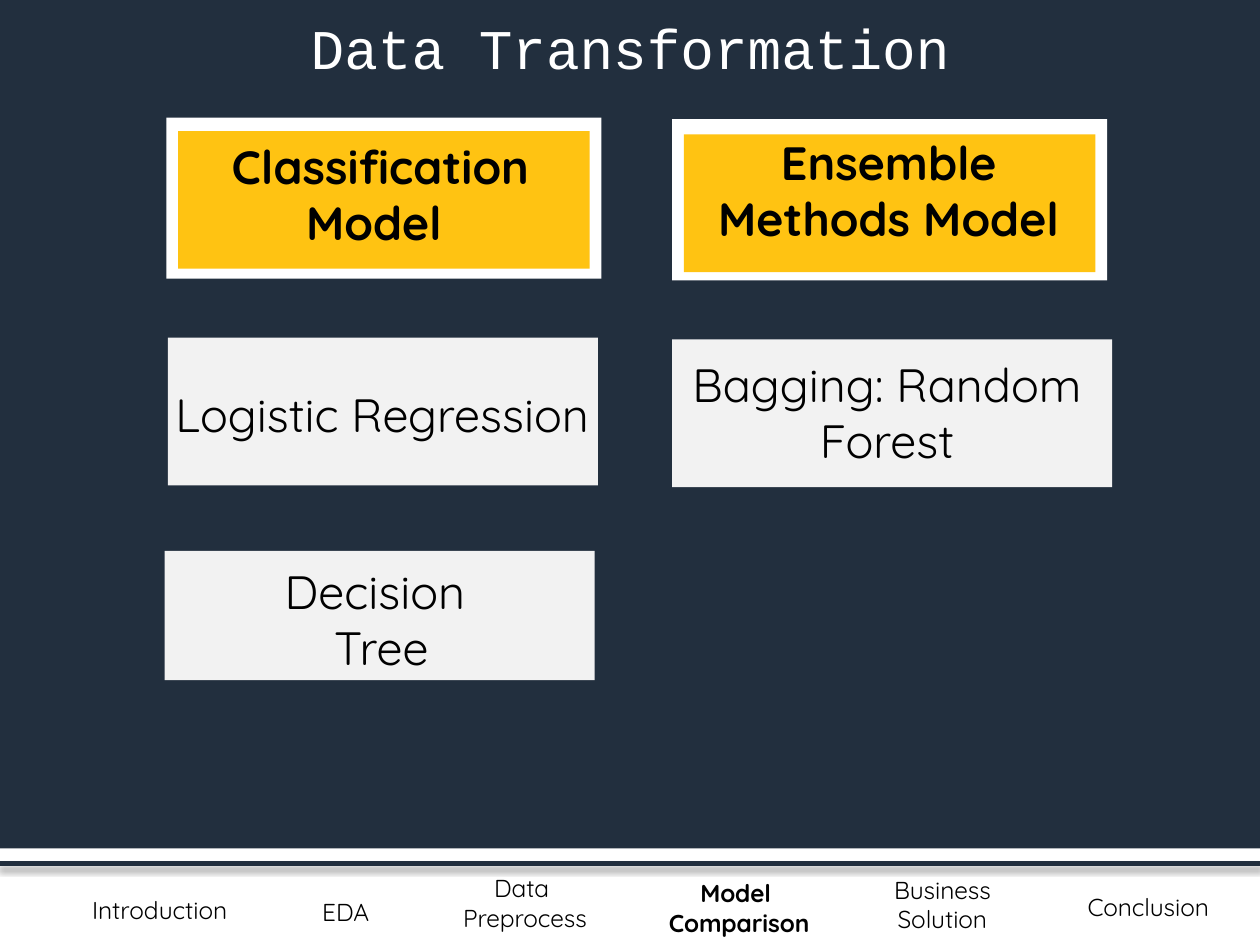
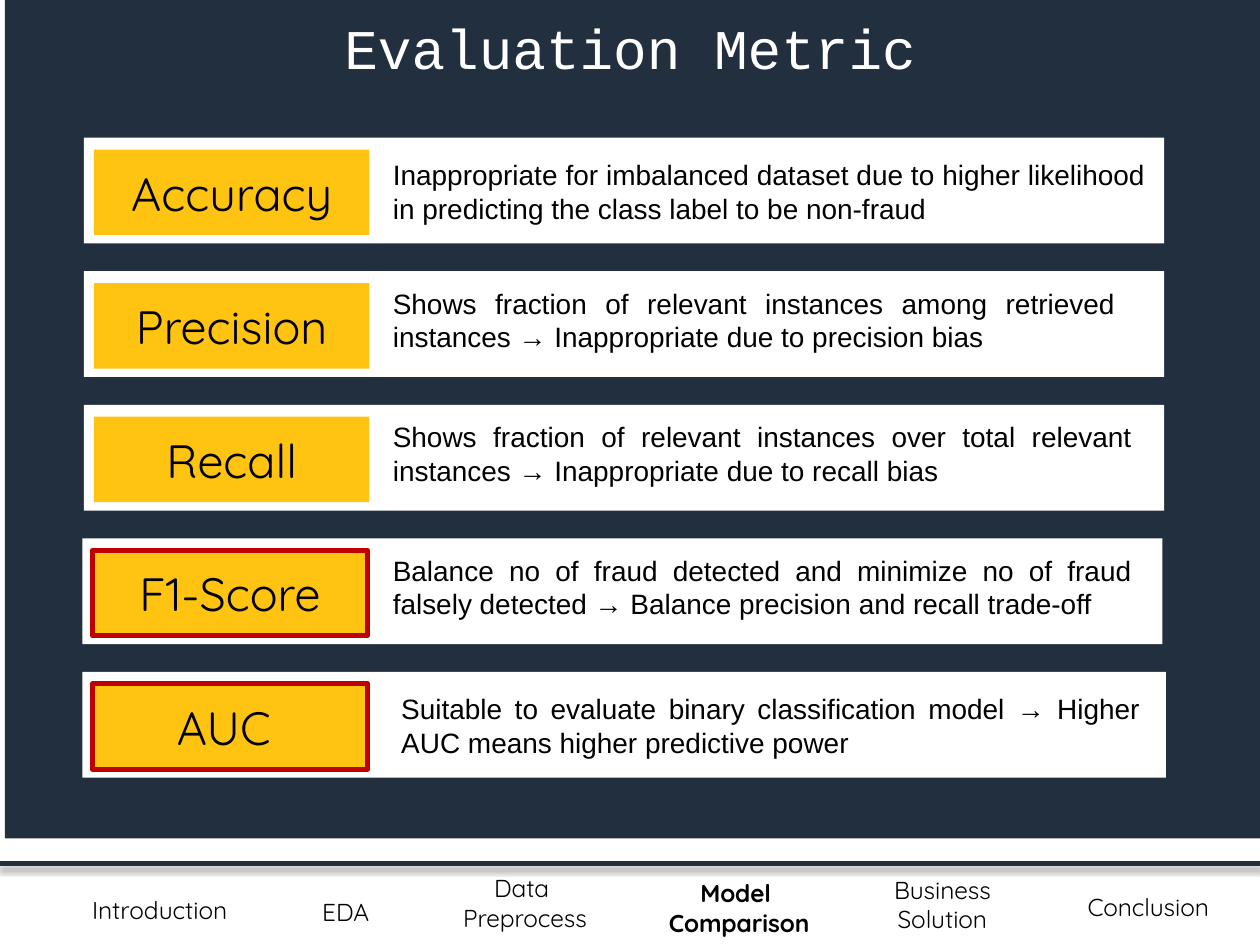
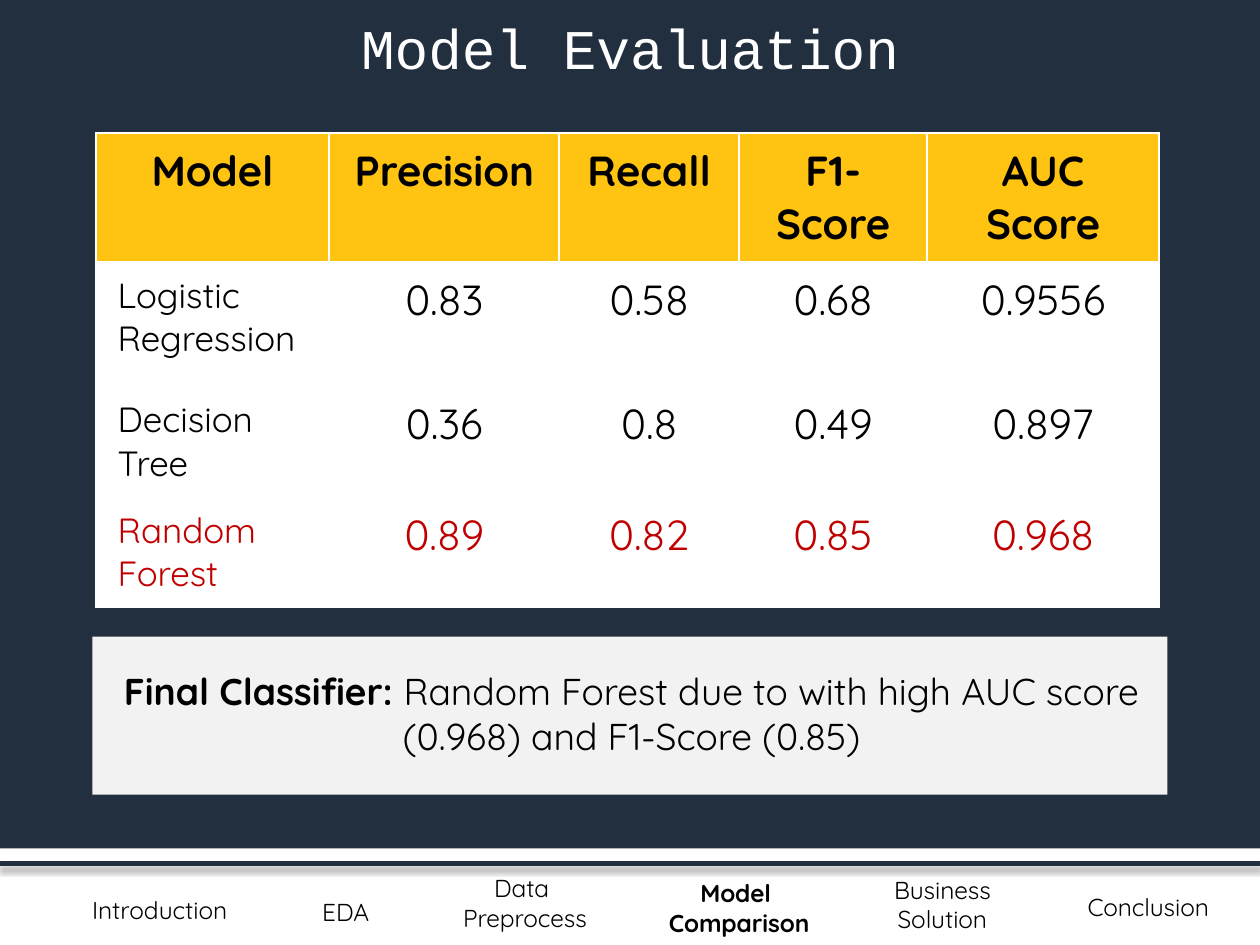
from dataclasses import dataclass

from lxml.etree import SubElement
from pptx import Presentation
from pptx.dml.color import RGBColor
from pptx.enum.shapes import MSO_CONNECTOR, MSO_SHAPE
from pptx.enum.text import MSO_ANCHOR, MSO_AUTO_SIZE, PP_ALIGN
from pptx.oxml.ns import qn
from pptx.util import Inches, Pt

NAVY, YELLOW, WHITE, GREY = "222F3E", "FFC312", "FFFFFF", "F2F2F2"
BLACK, RED = "000000", "C00000"
BODY_FONT, TITLE_FONT, NOTE_FONT = "Quicksand", "Courier New", "Arial"
PAGE_WIDTH = 7.5
PAGE_HEIGHT = PAGE_WIDTH * 3 / 4


@dataclass(frozen=True)
class Area:
    left: float
    top: float
    width: float
    height: float

    def lengths(self):
        return [Inches(v) for v in (self.left, self.top, self.width, self.height)]


@dataclass(frozen=True)
class Label:
    text: str
    area: Area
    bold: bool = False
    align: PP_ALIGN = PP_ALIGN.CENTER


@dataclass(frozen=True)
class ModelCard:
    panel: Area
    label: Label
    frame: Area | None = None


@dataclass(frozen=True)
class Metric:
    name: str
    note: str
    note_drop: float = 0.04
    note_left: float = 2.24
    note_width: float = 4.6
    panel_width: float = 6.43
    chosen: bool = False


SECTIONS = [
    Label("Introduction", Area(0.45, 5.28, 1.52, 0.29), align=PP_ALIGN.LEFT),
    Label("EDA", Area(1.82, 5.29, 0.7, 0.28), align=PP_ALIGN.LEFT),
    Label("Data \nPreprocess", Area(2.63, 5.15, 0.99, 0.45)),
    Label("Model \nComparison", Area(3.85, 5.18, 1.1, 0.45), bold=True),
    Label("Business Solution", Area(5.06, 5.16, 1.1, 0.45)),
    Label("Conclusion", Area(6.33, 5.26, 1.01, 0.28)),
]

MODEL_CARDS = [
    ModelCard(Area(1.06, 0.78, 2.45, 0.82),
              Label("Classification Model ", Area(1.06, 0.77, 2.41, 0.77), bold=True),
              frame=Area(0.99, 0.7, 2.59, 0.96)),
    ModelCard(Area(4.07, 0.8, 2.45, 0.82),
              Label("Ensemble Methods Model", Area(4.07, 0.75, 2.44, 0.77), bold=True),
              frame=Area(4, 0.71, 2.59, 0.96)),
    ModelCard(Area(1, 2.01, 2.56, 0.88),
              Label("Logistic Regression", Area(0.88, 2.25, 2.79, 0.44))),
    ModelCard(Area(4, 2.02, 2.62, 0.88),
              Label("Bagging: Random Forest", Area(3.97, 2.07, 2.62, 0.77))),
    ModelCard(Area(0.98, 3.28, 2.56, 0.77),
              Label("Decision \nTree", Area(0.99, 3.3, 2.56, 0.77))),
]

METRICS = [
    Metric("Accuracy", "Inappropriate for imbalanced dataset due to higher likelihood "
           "in predicting the class label to be non-fraud ", note_drop=0.07, note_width=4.68),
    Metric("Precision", "Shows fraction of relevant instances among retrieved "
           "instances → Inappropriate due to precision bias", note_width=4.5),
    Metric("Recall", "Shows fraction of relevant instances over total relevant "
           "instances → Inappropriate due to recall bias"),
    Metric("F1-Score", "Balance no of fraud detected and minimize no of fraud "
           "falsely detected → Balance precision and recall trade-off", chosen=True),
    Metric("AUC ", "Suitable to evaluate binary classification model → Higher "
           "AUC means higher predictive power", note_drop=0.07, note_left=2.29,
           panel_width=6.45, chosen=True),
]

SCORES = [
    ("Model", "Precision", "Recall", "F1-Score", "AUC Score"),
    ("Logistic Regression", "0.83", "0.58", "0.68", "0.9556"),
    ("Decision Tree", "0.36", "0.8", "0.49", "0.897"),
    ("Random Forest", "0.89", "0.82", "0.85", "0.968"),
]


def rgb(color: str) -> RGBColor:
    return RGBColor.from_string(color)


def write(frame, text: str, *, size: float = 20, font: str = BODY_FONT,
          color: str = BLACK, bold: bool = False, align: PP_ALIGN = PP_ALIGN.CENTER,
          lead: str = "") -> None:
    """Fill a text frame, one paragraph per line, after an optional bold lead."""
    for index, line in enumerate(text.split("\n")):
        para = frame.paragraphs[0] if index == 0 else frame.add_paragraph()
        para.alignment = align
        spans = [(lead, True)] if lead and index == 0 else []
        for words, heavy in spans + [(line, bold)]:
            span = para.add_run()
            span.text = words
            span.font.name, span.font.size = font, Pt(size)
            span.font.bold = heavy
            span.font.color.rgb = rgb(color)


def add_text(page, text: str, area: Area, **text_format):
    box = page.shapes.add_textbox(*area.lengths())
    box.text_frame.word_wrap = True
    write(box.text_frame, text, **text_format)
    return box


def add_panel(page, area: Area, fill: str, outline: str | None = None):
    panel = page.shapes.add_shape(MSO_SHAPE.RECTANGLE, *area.lengths())
    panel.shadow.inherit = False
    panel.fill.solid()
    panel.fill.fore_color.rgb = rgb(fill)
    if outline:
        panel.line.color.rgb = rgb(outline)
        panel.line.width = Pt(2)
    else:
        panel.line.fill.background()
    return panel


def add_rule(page):
    """Footer rule with a soft shadow below it."""
    height = Inches(5.14)
    rule = page.shapes.add_connector(MSO_CONNECTOR.STRAIGHT, 0, height,
                                     Inches(PAGE_WIDTH), height)
    rule.line.color.rgb = rgb(NAVY)
    rule.line.width = Pt(2)
    effects = SubElement(rule.element.spPr, qn("a:effectLst"))
    shadow = SubElement(effects, qn("a:outerShdw"), blurRad="40000", dist="20000",
                        dir="5400000", rotWithShape="0")
    tint = SubElement(shadow, qn("a:srgbClr"), val=BLACK)
    SubElement(tint, qn("a:alpha"), val="38000")
    return rule


def prepare_layout(deck):
    """Keep only the title-only layout and fit the master to the page."""
    layout = deck.slide_layouts.get_by_name("Title Only")
    for other in list(deck.slide_layouts):
        if other.name != layout.name:
            deck.slide_layouts.remove(other)
    for holder in deck.slide_master.placeholders:
        holder.left, holder.top, holder.width, holder.height = (
            int(value * 0.75)
            for value in (holder.left, holder.top, holder.width, holder.height))
    return layout


def add_footer(page, layout) -> None:
    """Draw the section bar and hand it to the layout that all pages share."""
    parts = [add_rule(page)]
    parts += [add_text(page, section.text, section.area, size=10.5,
                       bold=section.bold, align=section.align)
              for section in SECTIONS]
    for part in parts:
        layout.shapes.element.append(part.element)


def add_page(deck, layout, title: str, backdrop: Area = Area(0, 0, PAGE_WIDTH, 5.05)):
    page = deck.slides.add_slide(layout)
    panel = add_panel(page, backdrop, NAVY)
    page.shapes.element.insert(2, panel.element)  # behind the title
    heading = page.shapes.title
    heading.left, heading.top, heading.width, heading.height = (
        Area(0, 0.03, PAGE_WIDTH, 0.5).lengths())
    frame = heading.text_frame
    frame.auto_size = MSO_AUTO_SIZE.NONE
    frame.vertical_anchor = MSO_ANCHOR.TOP
    write(frame, title, size=24, font=TITLE_FONT, color=WHITE)
    return page


def fill_models(page) -> None:
    for card in MODEL_CARDS:
        if card.frame:
            add_panel(page, card.frame, WHITE)
        add_panel(page, card.panel, YELLOW if card.frame else GREY)
        add_text(page, card.label.text, card.label.area, bold=card.label.bold)


def fill_metrics(page) -> None:
    first_top, last_top = 0.82, 4.0
    pitch = (last_top - first_top) / (len(METRICS) - 1)
    for index, metric in enumerate(METRICS):
        top = first_top + index * pitch
        left = 0.49 if metric.chosen else 0.5
        add_panel(page, Area(left, top, metric.panel_width, 0.63), WHITE)
        tag = add_panel(page, Area(left + 0.06, top + 0.07, 1.64, 0.51), YELLOW,
                        outline=RED if metric.chosen else None)
        tag.text_frame.vertical_anchor = MSO_ANCHOR.MIDDLE
        write(tag.text_frame, metric.name)
        add_text(page, metric.note,
                 Area(metric.note_left, top + metric.note_drop, metric.note_width, 0.5),
                 size=12, font=NOTE_FONT, align=PP_ALIGN.JUSTIFY)


def fill_evaluation(page) -> None:
    # Score table; its built-in style draws the white borders
    area = Area(0.57, 0.79, 6.33, 2.74)
    holder = page.shapes.add_table(len(SCORES), len(SCORES[0]), *area.lengths())
    table = holder.table
    for column, width in zip(table.columns, (1.39, 1.37, 1.07, 1.12, 1.38)):
        column.width = Inches(width)
    for row, height in zip(table.rows, (0.52, 0.74, 0.52, 0.52)):
        row.height = Inches(height)
    holder.height = Inches(area.height)
    for r, values in enumerate(SCORES):
        header, best = r == 0, r == len(SCORES) - 1
        for c, value in enumerate(values):
            model_name = c == 0 and not header
            cell = table.cell(r, c)
            cell.margin_left = cell.margin_right = Inches(0.13)
            cell.margin_top = cell.margin_bottom = Inches(0.07)
            cell.fill.solid()
            cell.fill.fore_color.rgb = rgb(YELLOW if header else WHITE)
            write(cell.text_frame, value, size=15 if model_name else 18, bold=header,
                  color=RED if best else BLACK,
                  align=PP_ALIGN.LEFT if model_name else PP_ALIGN.CENTER)
    # Conclusion
    add_panel(page, Area(0.55, 3.79, 6.4, 0.94), GREY)
    add_text(page, "Random Forest due to with high AUC score (0.968) and F1-Score (0.85)",
             Area(0.57, 3.93, 6.38, 0.64), size=16, lead="Final Classifier: ")


def main() -> None:
    deck = Presentation()
    deck.slide_width, deck.slide_height = Inches(PAGE_WIDTH), Inches(PAGE_HEIGHT)
    layout = prepare_layout(deck)

    models = add_page(deck, layout, "Data Transformation")
    add_footer(models, layout)
    fill_models(models)
    fill_metrics(add_page(deck, layout, "Evaluation Metric",
                          backdrop=Area(0.03, 0, PAGE_WIDTH - 0.03, 4.99)))
    fill_evaluation(add_page(deck, layout, "Model Evaluation"))
    deck.save("out.pptx")


if __name__ == "__main__":
    main()
